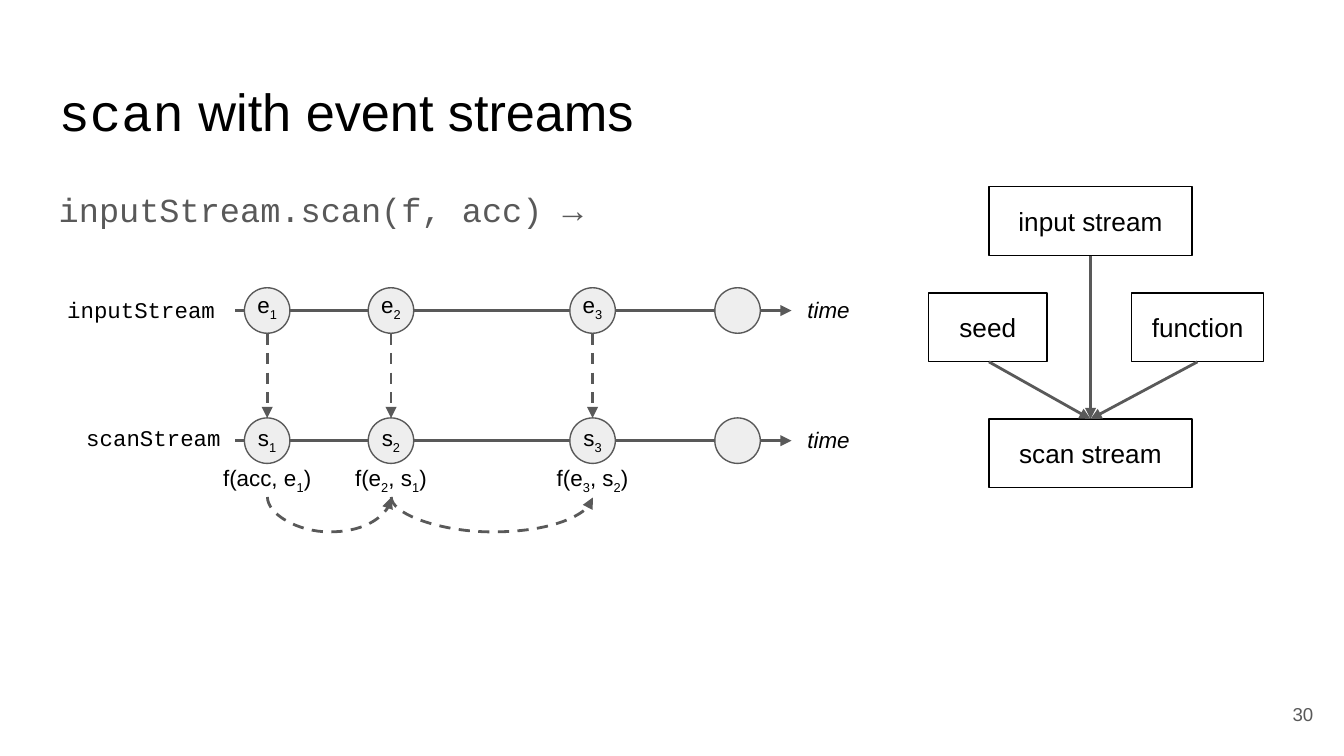
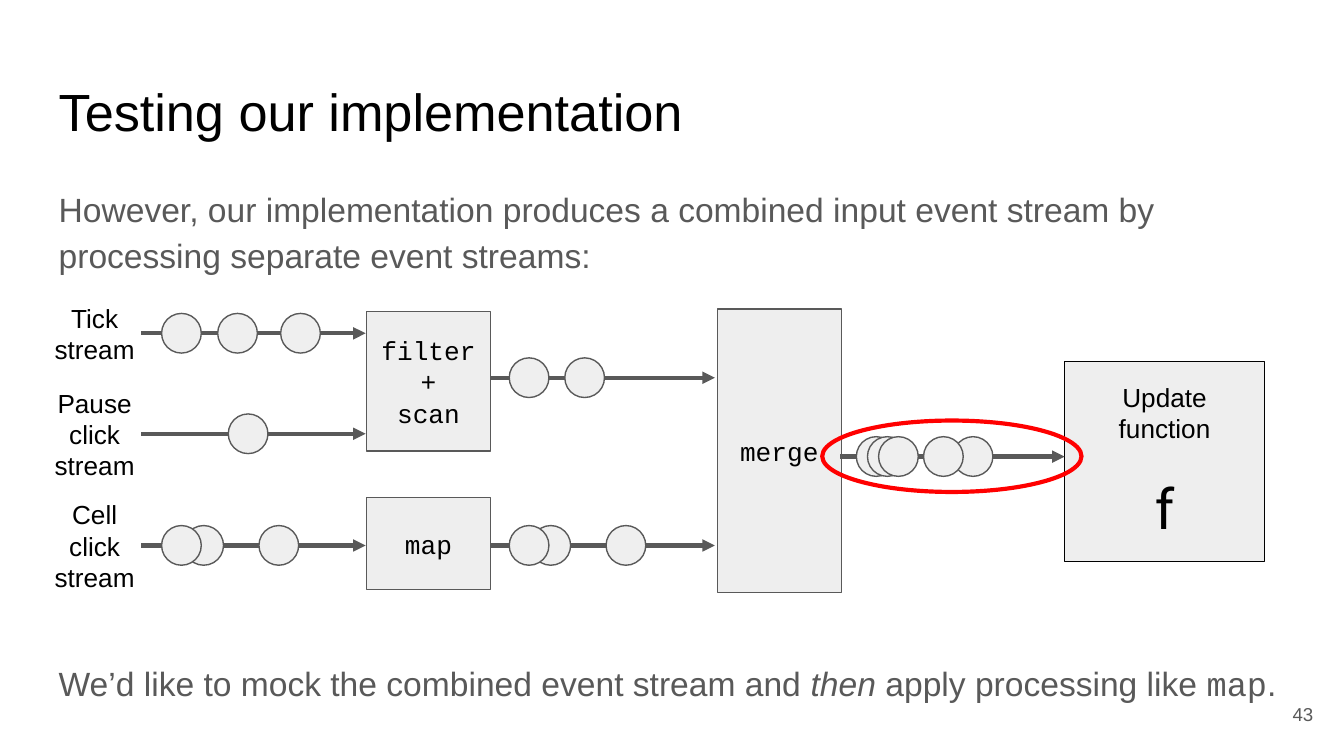
"""Build two slides on event streams: scan over time, and testing a merged stream."""
from itertools import groupby, pairwise

from lxml.etree import SubElement
from pptx import Presentation
from pptx.dml.color import RGBColor
from pptx.enum.dml import MSO_LINE
from pptx.enum.shapes import MSO_CONNECTOR as LINK, MSO_SHAPE as SHAPE
from pptx.enum.text import MSO_ANCHOR as ANCHOR, PP_ALIGN as ALIGN
from pptx.oxml.ns import qn
from pptx.util import Cm, Pt

COLORS = {"ink": "000000", "gray": "595959", "panel": "EEEEEE",
          "event": "EFEFEF", "highlight": "FF0000"}
SANS, MONO, DISPLAY = "Arial", "Courier New", "Roboto"
MARGIN, CONTENT_WIDTH = 0.86, 23.67


def rgb(name):
    return RGBColor.from_string(COLORS[name])


def style_run(run, size, font=SANS, color="ink", italic=False, subscript=False):
    run.font.size = Pt(size)
    run.font.name = font
    run.font.color.rgb = rgb(color)
    if italic:
        run.font.italic = True
    if subscript:
        run.font._element.set("baseline", "-25000")


def prepare_frame(frame, anchor):
    frame.word_wrap = True
    frame.vertical_anchor = anchor
    frame.margin_left = frame.margin_right = Cm(0.25)
    frame.margin_top = frame.margin_bottom = Cm(0.25)


def fill_frame(frame, text, align, size, **style):
    frame.text = text
    for paragraph in frame.paragraphs:
        paragraph.alignment = align
        for run in paragraph.runs:
            style_run(run, size, **style)


def add_text(slide, left, top, width, height, text, size=12,
             align=ALIGN.LEFT, anchor=ANCHOR.TOP, **style):
    box = slide.shapes.add_textbox(Cm(left), Cm(top), Cm(width), Cm(height))
    prepare_frame(box.text_frame, anchor)
    fill_frame(box.text_frame, text, align, size, **style)
    return box.text_frame.paragraphs[0]


def add_pieces(paragraph, pieces, size, **shared):
    for text, style in pieces:
        run = paragraph.add_run()
        run.text = text
        style_run(run, size, **{**shared, **style})


def add_formula(slide, center, top, width, formula):
    """Write a centred formula whose digits are subscripts."""
    paragraph = add_text(slide, center - width / 2, top, width, 0.86, "",
                         align=ALIGN.CENTER)
    pieces = [("".join(letters), {"subscript": is_digit})
              for is_digit, letters in groupby(formula, str.isdigit)]
    add_pieces(paragraph, pieces, 12)


def add_title(slide, pieces):
    paragraph = add_text(slide, MARGIN, 1.24, CONTENT_WIDTH, 1.6, "")
    add_pieces(paragraph, pieces, 28)


def add_body(slide, top, height, pieces):
    paragraph = add_text(slide, MARGIN, top, CONTENT_WIDTH, height, "")
    paragraph.line_spacing = 1.15
    add_pieces(paragraph, pieces, 18, color="gray")


def add_page_number(slide, number):
    add_text(slide, 23.55, 12.95, 1.52, 1.09, str(number), size=10,
             align=ALIGN.RIGHT, anchor=ANCHOR.MIDDLE, color="gray")


def add_outline(slide, kind, left, top, width, height,
                fill=None, line="gray", weight=0.75):
    shape = slide.shapes.add_shape(kind, Cm(left), Cm(top), Cm(width), Cm(height))
    shape.shadow.inherit = False
    if fill:
        shape.fill.solid()
        shape.fill.fore_color.rgb = rgb(fill)
    else:
        shape.fill.background()
    shape.line.color.rgb = rgb(line)
    shape.line.width = Pt(weight)
    return shape


def add_box(slide, left, top, width, height, text, font=SANS, fill=None, line="ink"):
    box = add_outline(slide, SHAPE.RECTANGLE, left, top, width, height, fill, line)
    prepare_frame(box.text_frame, ANCHOR.MIDDLE)
    fill_frame(box.text_frame, text, ALIGN.CENTER, 14, font=font)
    return box.text_frame


def add_event(slide, center_x, center_y, diameter, fill):
    add_outline(slide, SHAPE.OVAL, center_x - diameter / 2, center_y - diameter / 2,
                diameter, diameter, fill)


def add_arrow(slide, x1, y1, x2, y2, weight=1.5, dashed=False, kind=LINK.STRAIGHT):
    arrow = slide.shapes.add_connector(kind, Cm(x1), Cm(y1), Cm(x2), Cm(y2))
    arrow.line.color.rgb = rgb("gray")
    arrow.line.width = Pt(weight)
    if dashed:
        arrow.line.dash_style = MSO_LINE.DASH
    SubElement(arrow.line._get_or_add_ln(), qn("a:tailEnd"), type="triangle")
    SubElement(arrow._element.spPr, qn("a:effectLst"))
    return arrow


def add_hanging_arrow(slide, start, end, y, dip):
    """Curve from start to end below y, as a thin upright connector turned by 270 degrees."""
    middle, half, thickness = (start + end) / 2, (end - start) / 2, 0.01
    arrow = add_arrow(slide, middle + thickness, y - half, middle, y + half,
                      dashed=True, kind=LINK.CURVE)
    properties = arrow._element.spPr
    properties.find(qn("a:xfrm")).set("rot", str(270 * 60000))
    adjustments = properties.find(qn("a:prstGeom")).find(qn("a:avLst"))
    SubElement(adjustments, qn("a:gd"), name="adj1",
               fmla=f"val {round(dip / thickness * 100000)}")


def add_timeline(slide, y, event_xs):
    add_text(slide, 15.01, y - 0.53, 1.65, 1.09, "time", italic=True)
    add_arrow(slide, 4.45, y, 14.96, y)
    for x in event_xs:
        add_event(slide, x, y, 0.86, "panel")


def add_stream(slide, start, y, event_offsets):
    add_arrow(slide, start, y, start + 4.24, y, weight=2.25)
    for offset in event_offsets:
        add_event(slide, start + offset, y, 0.75, "event")


def add_slide(deck, title, number):
    slide = deck.slides.add_slide(deck.slide_layouts[6])
    add_title(slide, title)
    add_page_number(slide, number)
    return slide


def build_scan_slide(deck):
    slide = add_slide(deck, [("scan", {"font": MONO}), (" with event streams", {})], 30)
    add_body(slide, 3.2, 9.5, [("inputStream.scan(f, acc) →", {"font": MONO})])

    for left, top, width, text in [(18.69, 3.53, 3.84, "input stream"),
                                   (18.69, 7.92, 3.84, "scan stream"),
                                   (17.55, 5.54, 2.24, "seed"),
                                   (21.39, 5.54, 2.49, "function")]:
        add_box(slide, left, top, width, 1.3, text)
    for x, y in [(18.69, 6.84), (22.63, 6.84), (20.61, 4.83)]:
        add_arrow(slide, x, y, 20.61, 7.92)

    input_y, scan_y = 5.87, 8.33
    event_xs = [5.05, 7.39, 11.2]
    for y in (input_y, scan_y):
        add_timeline(slide, y, event_xs + [13.94])
    for left, top, text, align in [(1.02, 5.31, "inputStream", ALIGN.LEFT),
                                   (0.97, 7.72, "scanStream", ALIGN.RIGHT)]:
        add_text(slide, left, top, 3.45, 1.09, text, align=align,
                 anchor=ANCHOR.MIDDLE, font=MONO)

    formulas = ["f(acc, e1)", "f(e2, s1)", "f(e3, s2)"]
    for index, (x, formula) in enumerate(zip(event_xs, formulas), start=1):
        add_arrow(slide, x, input_y + 0.43, x, scan_y - 0.43, dashed=True)
        add_formula(slide, x, input_y - 0.61, 1.65, f"e{index}")
        add_formula(slide, x, scan_y - 0.56, 1.65, f"s{index}")
        add_formula(slide, x, 8.53, 2.49, formula)
    for start, end in pairwise(event_xs):
        add_hanging_arrow(slide, start, end, 9.4, 0.66)


def build_testing_slide(deck):
    slide = add_slide(deck, [("Testing our implementation", {})], 43)
    add_body(slide, 3.2, 2.2, [
        ("However, our implementation produces a combined input event stream by "
         "processing separate event streams:", {})])
    add_body(slide, 12.16, 1.4, [
        ("We’d like to mock the combined event stream and ", {}),
        ("then ", {"italic": True}),
        ("apply processing like ", {}),
        ("map", {"font": MONO}),
        (".", {})])

    update = add_box(slide, 20.12, 6.83, 3.78, 3.78, "Update function", fill="panel")
    symbol = update.add_paragraph()
    symbol.text = "f"
    symbol.alignment = ALIGN.CENTER
    symbol.space_before = Pt(16)
    style_run(symbol.runs[0], 30, font=DISPLAY)

    for left, top, height, text in [(6.93, 5.89, 2.64, "filter\n+\nscan"),
                                    (6.93, 9.4, 1.75, "map"),
                                    (13.56, 5.84, 5.36, "merge")]:
        add_box(slide, left, top, 2.34, height, text, MONO, "panel", "gray")

    source_x, processed_x, merged_x = 2.67, 9.27, 15.88
    tick_y, pause_y, cell_y = 6.3, 8.2, 10.31
    for y, text in [(tick_y, "Tick\nstream"), (pause_y, "Pause click\nstream"),
                    (cell_y, "Cell click\nstream")]:
        add_text(slide, 0.66, y - 0.67, 2.26, 1.35, text, size=14,
                 align=ALIGN.CENTER, anchor=ANCHOR.MIDDLE)
    for start, y, offsets in [(source_x, cell_y, [1.18, 0.76, 2.6]),
                              (source_x, pause_y, [2.02]),
                              (source_x, tick_y, [1.82, 0.76, 3.01]),
                              (processed_x, 7.14, [1.78, 0.73]),
                              (processed_x, cell_y, [1.14, 0.73, 2.56]),
                              (merged_x, 8.63, [0.68, 2.51, 1.95, 0.89, 1.1])]:
        add_stream(slide, start, y, offsets)
    add_outline(slide, SHAPE.OVAL, 15.54, 7.95, 4.9, 1.35, line="highlight", weight=2.25)


def main():
    deck = Presentation()
    deck.slide_width, deck.slide_height = Cm(25.4), Cm(14.29)
    build_scan_slide(deck)
    build_testing_slide(deck)
    deck.save("out.pptx")


if __name__ == "__main__":
    main()
